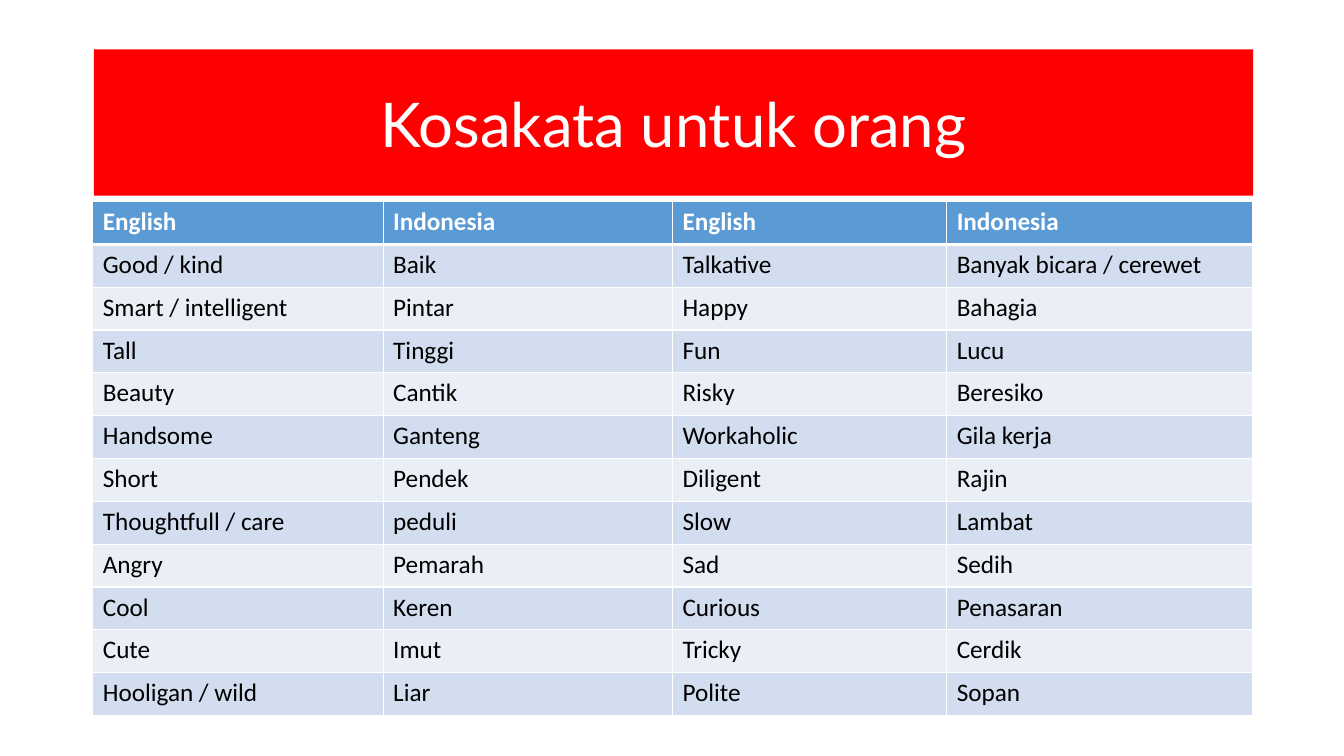
"""Build a vocabulary slide: English and Indonesian words that describe people."""
from lxml import etree
from pptx import Presentation
from pptx.dml.color import RGBColor
from pptx.enum.text import MSO_ANCHOR, PP_ALIGN
from pptx.oxml.ns import qn
from pptx.util import Pt

PX = 9144
CENTER = PP_ALIGN.CENTER
MIDDLE = MSO_ANCHOR.MIDDLE
TITLE_ONLY = 5

WHITE = RGBColor(0xFF, 0xFF, 0xFF)
BLACK = RGBColor(0x00, 0x00, 0x00)
RED = RGBColor(0xFF, 0x00, 0x00)
BLUE = RGBColor(0x5B, 0x9B, 0xD5)
BAND_DARK = RGBColor(0xD2, 0xDE, 0xEF)
BAND_LIGHT = RGBColor(0xEA, 0xEF, 0xF7)

COLUMN_WIDTHS = (288, 287, 272, 303)
VOCABULARY = (
    ("English", "Indonesia", "English", "Indonesia"),
    ("Good / kind", "Baik", "Talkative", "Banyak bicara / cerewet"),
    ("Smart / intelligent", "Pintar", "Happy", "Bahagia"),
    ("Tall", "Tinggi", "Fun", "Lucu"),
    ("Beauty", "Cantik", "Risky", "Beresiko"),
    ("Handsome", "Ganteng", "Workaholic", "Gila kerja"),
    ("Short", "Pendek", "Diligent", "Rajin"),
    ("Thoughtfull / care", "peduli", "Slow", "Lambat"),
    ("Angry", "Pemarah", "Sad", "Sedih"),
    ("Cool", "Keren", "Curious", "Penasaran"),
    ("Cute", "Imut", "Tricky", "Cerdik"),
    ("Hooligan / wild", "Liar", "Polite", "Sopan"),
)


class SlideBuilder:
    """Hold the slide and its style, and add each kind of element."""

    title_font, title_size = "Lato", 44
    body_font, body_size = "Calibri", 18

    def __init__(self, prs):
        """Start a title-only slide."""
        self.s = prs.slides.add_slide(prs.slide_layouts[TITLE_ONLY])

    def set_font(self, p, name, size, color, bold=False):
        """Set the font of a whole paragraph."""
        font = p.font
        font.name, font.size, font.bold = name, Pt(size), bold
        font.color.rgb = color

    def title(self, text, x, y, w, h):
        """Place the title in a red banner."""
        sp = self.s.shapes.title
        sp.left, sp.top, sp.width, sp.height = (v * PX for v in (x, y, w, h))
        sp.fill.solid()
        sp.fill.fore_color.rgb = RED
        tf = sp.text_frame
        tf.text = text
        tf.vertical_anchor = MIDDLE
        p = tf.paragraphs[0]
        p.alignment = CENTER
        self.set_font(p, self.title_font, self.title_size, WHITE)

    def borders(self, cell, top, bottom):
        """Draw white cell borders, with widths in points."""
        tc_pr = cell._tc.get_or_add_tcPr()
        for side, width in (("L", 1), ("R", 1), ("T", top), ("B", bottom)):
            ln = etree.SubElement(tc_pr, qn(f"a:ln{side}"), w=str(Pt(width)))
            fill = etree.SubElement(ln, qn("a:solidFill"))
            etree.SubElement(fill, qn("a:srgbClr"), val=str(WHITE))

    def table(self, rows, widths, x, y, h):
        """Add a banded table with a header row and equal row heights."""
        frame = self.s.shapes.add_table(
            len(rows), len(widths), x * PX, y * PX, sum(widths) * PX, h * PX)
        table = frame.table
        for column, width in zip(table.columns, widths):
            column.width = width * PX
        for i, words in enumerate(rows):
            header = i == 0
            band = BAND_DARK if i % 2 else BAND_LIGHT
            for j, word in enumerate(words):
                cell = table.cell(i, j)
                self.borders(cell, 3 if i == 1 else 1, 3 if header else 1)
                cell.fill.solid()
                cell.fill.fore_color.rgb = BLUE if header else band
                cell.text = word
                self.set_font(cell.text_frame.paragraphs[0], self.body_font,
                              self.body_size, WHITE if header else BLACK, header)


def main():
    """Build and save the slide."""
    prs = Presentation()
    prs.slide_width, prs.slide_height = 1333 * PX, 750 * PX
    slide = SlideBuilder(prs)
    slide.title("Kosakata untuk orang", 93, 49, 1150, 145)
    slide.table(VOCABULARY, COLUMN_WIDTHS, 92, 200, 510)
    prs.save("out.pptx")


if __name__ == "__main__":
    main()
